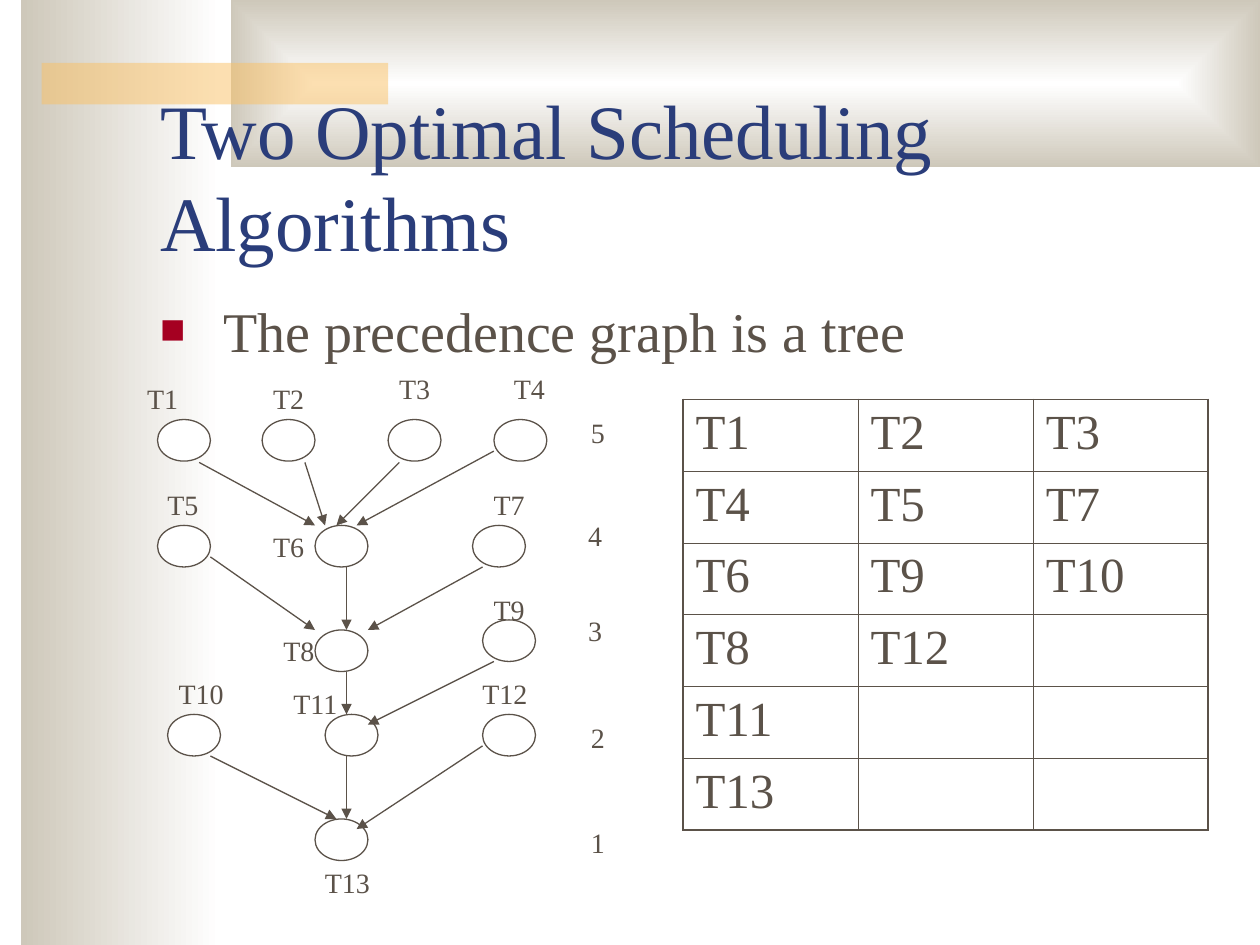
from dataclasses import dataclass
from typing import NamedTuple

from lxml.etree import SubElement
from pptx import Presentation
from pptx.dml.color import RGBColor
from pptx.enum.shapes import MSO_CONNECTOR as Connector, MSO_SHAPE as Preset
from pptx.enum.text import MSO_ANCHOR as Anchor, MSO_AUTO_SIZE as AutoSize, PP_ALIGN as Align
from pptx.oxml.ns import qn
from pptx.util import Inches, Pt


@dataclass(frozen=True)
class Theme:
    font: str = "Times New Roman"
    title: str = "2A3D7A"
    ink: str = "5B5249"
    bullet: str = "A50021"
    paper: str = "FFFFFF"
    sand: str = "CEC8BA"
    accent: str = "FAC164"
    title_size: int = 44
    body_size: int = 32
    cell_size: int = 28
    label_size: int = 16
    line: float = 0.75
    outer_border: float = 1.08
    inner_border: float = 0.45


class Frame(NamedTuple):
    left: float
    top: float
    width: float
    height: float


class Task(NamedTuple):
    name: str
    left: float
    top: float
    label_left: float
    label_top: float


class Arrow(NamedTuple):
    start: tuple[float, float]
    end: tuple[float, float]


class Level(NamedTuple):
    name: str
    left: float
    top: float


THEME = Theme()
NODE_WIDTH, NODE_HEIGHT = 0.42, 0.33
LABEL_WIDTHS = {1: 0.32, 2: 0.46, 3: 0.57}

TASKS = [
    Task("T1", 1.25, 3.33, 1.07, 2.98),
    Task("T2", 2.08, 3.33, 2.07, 2.98),
    Task("T3", 3.08, 3.33, 3.07, 2.9),
    Task("T4", 3.92, 3.33, 3.98, 2.9),
    Task("T5", 1.25, 4.17, 1.23, 3.82),
    Task("T6", 2.5, 4.17, 2.07, 4.15),
    Task("T7", 3.75, 4.17, 3.82, 3.82),
    Task("T8", 2.5, 5, 2.15, 4.98),
    Task("T9", 3.83, 4.92, 3.82, 4.65),
    Task("T10", 1.33, 5.67, 1.32, 5.32),
    Task("T11", 2.58, 5.67, 2.23, 5.4),
    Task("T12", 3.83, 5.67, 3.73, 5.32),
    Task("T13", 2.5, 6.5, 2.48, 6.82),
]
ARROWS = [
    Arrow((1.58, 3.67), (2.5, 4.17)),
    Arrow((2.42, 3.67), (2.58, 4.17)),
    Arrow((3.17, 3.67), (2.67, 4.17)),
    Arrow((3.92, 3.58), (2.83, 4.17)),
    Arrow((1.67, 4.42), (2.5, 5)),
    Arrow((2.75, 4.5), (2.75, 5)),
    Arrow((3.83, 4.5), (2.92, 5)),
    Arrow((2.75, 5.33), (2.75, 5.67)),
    Arrow((3.92, 5.25), (2.92, 5.75)),
    Arrow((1.67, 6), (2.67, 6.5)),
    Arrow((2.75, 6), (2.75, 6.5)),
    Arrow((3.83, 5.92), (2.83, 6.58)),
]
LEVELS = [
    Level("1", 4.59, 6.5),
    Level("2", 4.59, 5.67),
    Level("3", 4.57, 4.82),
    Level("4", 4.57, 4.07),
    Level("5", 4.59, 3.25),
]
SCHEDULE = [
    ["T1", "T2", "T3"],
    ["T4", "T5", "T7"],
    ["T6", "T9", "T10"],
    ["T8", "T12", ""],
    ["T11", "", ""],
    ["T13", "", ""],
]


def inches(frame: Frame) -> list[int]:
    return [Inches(value) for value in frame]


def style(para, size: float, color: str) -> None:
    para.font.name = THEME.font
    para.font.size = Pt(size)
    para.font.color.rgb = RGBColor.from_string(color)


def add_shape(page, preset, frame: Frame):
    shape = page.shapes.add_shape(preset, *inches(frame))
    shape.shadow.inherit = False
    shape.line.fill.background()
    return shape


def add_gradient(page, frame: Frame):
    shape = add_shape(page, Preset.RECTANGLE, frame)
    shape.fill.gradient()
    shape.fill.gradient_angle = 180
    for stop, color in zip(shape.fill.gradient_stops, (THEME.paper, THEME.sand)):
        stop.color.rgb = RGBColor.from_string(color)
    return shape


def add_backdrop(page) -> None:
    side = add_gradient(page, Frame(0.17, 0, 1.58, 7.5))
    band = add_gradient(page, Frame(1.83, 0, 8.17, 1.33))
    gradient = band._element.spPr.find(qn("a:gradFill"))
    gradient.remove(gradient.find(qn("a:lin")))
    focus = SubElement(gradient, qn("a:path"), {"path": "rect"})
    SubElement(focus, qn("a:fillToRect"), {edge: "50000" for edge in "ltrb"})
    strip = add_shape(page, Preset.RECTANGLE, Frame(0.33, 0.5, 2.75, 0.33))
    strip.fill.solid()
    strip.fill.fore_color.rgb = RGBColor.from_string(THEME.accent)
    color = strip._element.spPr.find(qn("a:solidFill"))[0]
    SubElement(color, qn("a:alpha"), {"val": "50000"})
    for index, shape in enumerate((side, band, strip), start=2):
        page.shapes._spTree.insert(index, shape._element)


def fill_placeholder(box, frame: Frame, text: str, size: float, color: str, anchor):
    box.left, box.top, box.width, box.height = inches(frame)
    box.text_frame.text = text
    box.text_frame.auto_size = AutoSize.NONE
    box.text_frame.vertical_anchor = anchor
    para = box.text_frame.paragraphs[0]
    para.alignment = Align.LEFT
    style(para, size, color)
    return para


def add_bullet(para) -> None:
    para.space_before = Pt(8)
    properties = para._p.get_or_add_pPr()
    properties.set("marL", str(Inches(0.5)))
    properties.set("indent", str(-Inches(0.5)))
    color = SubElement(properties, qn("a:buClr"))
    SubElement(color, qn("a:srgbClr"), {"val": THEME.bullet})
    SubElement(properties, qn("a:buSzPct"), {"val": "75000"})
    SubElement(properties, qn("a:buFont"), {"typeface": THEME.font})
    SubElement(properties, qn("a:buChar"), {"char": "■"})
    properties.append(properties.find(qn("a:defRPr")))


def add_node(page, task: Task) -> None:
    node = add_shape(page, Preset.FLOWCHART_CONNECTOR,
                     Frame(task.left, task.top, NODE_WIDTH, NODE_HEIGHT))
    node.fill.solid()
    node.fill.fore_color.rgb = RGBColor.from_string(THEME.paper)
    node.line.color.rgb = RGBColor.from_string(THEME.ink)
    node.line.width = Pt(THEME.line)


def add_arrow(page, arrow: Arrow) -> None:
    ends = [Inches(value) for value in (*arrow.start, *arrow.end)]
    link = page.shapes.add_connector(Connector.STRAIGHT, *ends)
    link.line.color.rgb = RGBColor.from_string(THEME.ink)
    link.line.width = Pt(THEME.line)
    SubElement(link.line._get_or_add_ln(), qn("a:tailEnd"), {"type": "triangle"})
    SubElement(link._element.spPr, qn("a:effectLst"))


def add_label(page, text: str, left: float, top: float) -> None:
    frame = Frame(left, top, LABEL_WIDTHS[len(text)], 0.37)
    box = page.shapes.add_textbox(*inches(frame))
    box.text_frame.word_wrap = False
    box.text_frame.auto_size = AutoSize.SHAPE_TO_FIT_TEXT
    box.text_frame.text = text
    style(box.text_frame.paragraphs[0], THEME.label_size, THEME.ink)


def add_borders(cell, outer: dict[str, bool]) -> None:
    properties = cell._tc.get_or_add_tcPr()
    for index, (side, is_outer) in enumerate(outer.items()):
        width = THEME.outer_border if is_outer else THEME.inner_border
        line = SubElement(properties, qn(f"a:ln{side}"), {"w": str(Pt(width))})
        fill = SubElement(line, qn("a:solidFill"))
        SubElement(fill, qn("a:srgbClr"), {"val": THEME.ink})
        properties.insert(index, line)


def add_schedule(page, rows: list[list[str]], frame: Frame) -> None:
    last_row, last_column = len(rows) - 1, len(rows[0]) - 1
    table = page.shapes.add_table(len(rows), len(rows[0]), *inches(frame)).table
    table.first_row = table.horz_banding = False
    for r, names in enumerate(rows):
        for c, name in enumerate(names):
            cell = table.cell(r, c)
            cell.fill.background()
            cell.text = name
            para = cell.text_frame.paragraphs[0]
            para.space_before = Pt(7)
            style(para, THEME.cell_size, THEME.ink)
            add_borders(cell, {"L": c == 0, "R": c == last_column,
                               "T": r == 0, "B": r == last_row})


def main() -> None:
    deck = Presentation()
    deck.slide_width, deck.slide_height = Inches(10), Inches(7.5)
    page = deck.slides.add_slide(deck.slide_layouts[1])
    add_backdrop(page)
    fill_placeholder(page.shapes.title, Frame(1.17, 0.92, 8.5, 1.25),
                     "Two Optimal Scheduling Algorithms",
                     THEME.title_size, THEME.title, Anchor.BOTTOM)
    add_bullet(fill_placeholder(page.placeholders[1], Frame(1.17, 2.3, 8.5, 4.5),
                                "The precedence graph is a tree",
                                THEME.body_size, THEME.ink, Anchor.TOP))
    for task in TASKS:
        add_node(page, task)
    for arrow in ARROWS:
        add_arrow(page, arrow)
    for task in TASKS:
        add_label(page, task.name, task.label_left, task.label_top)
    for level in LEVELS:
        add_label(page, level.name, level.left, level.top)
    add_schedule(page, SCHEDULE, Frame(5.42, 3.17, 4.17, 3.42))
    deck.save("out.pptx")


if __name__ == "__main__":
    main()
